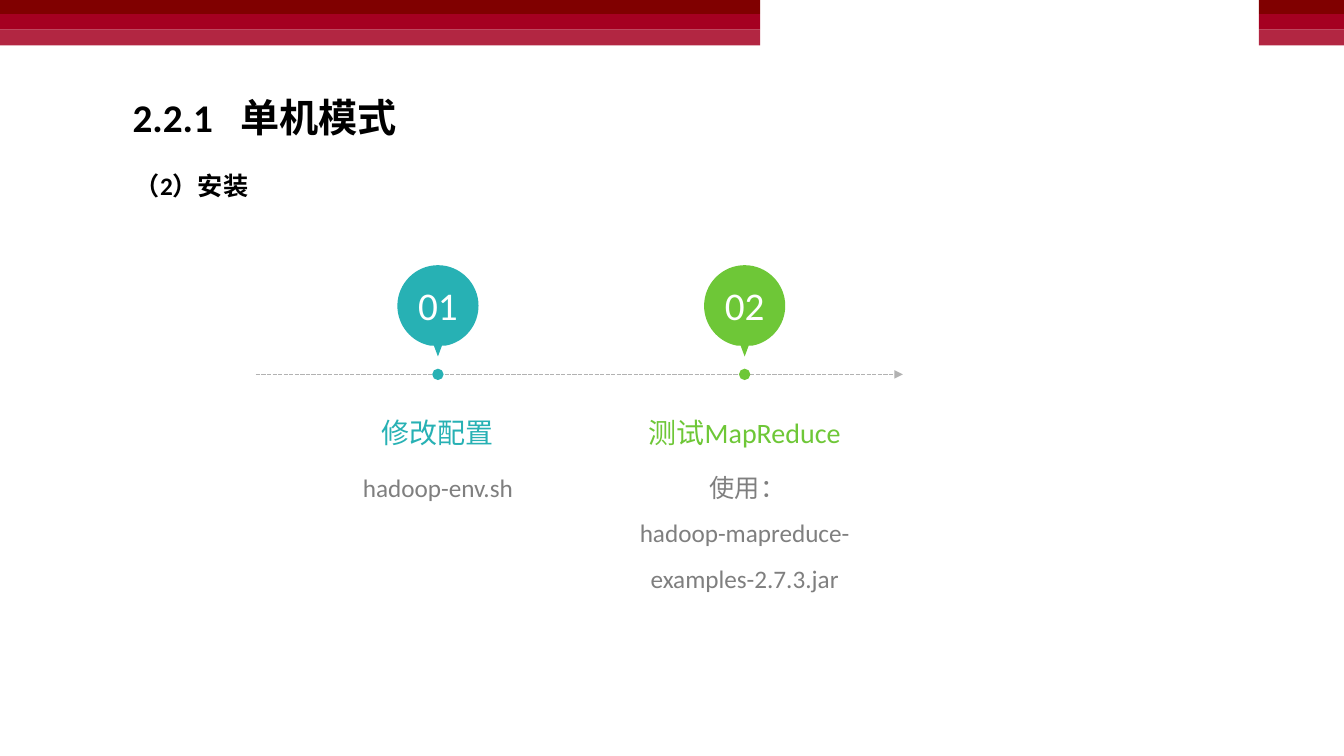
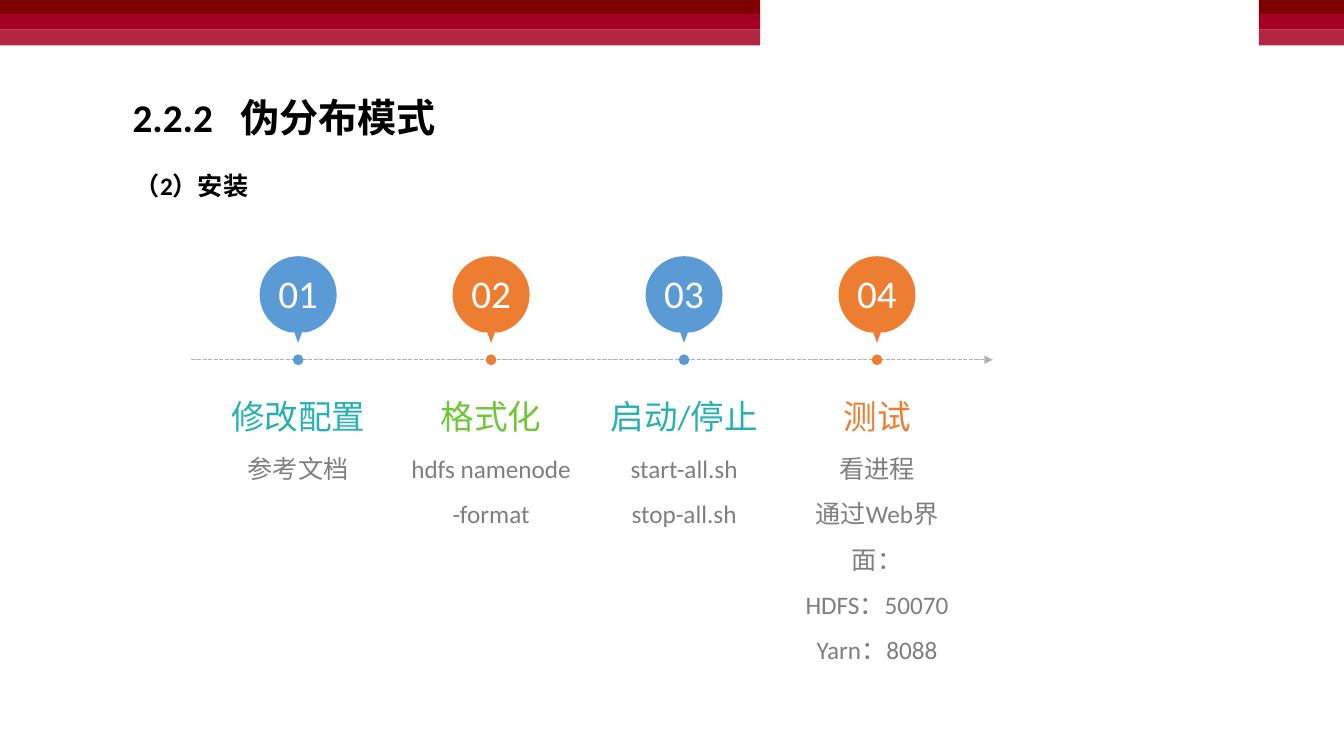
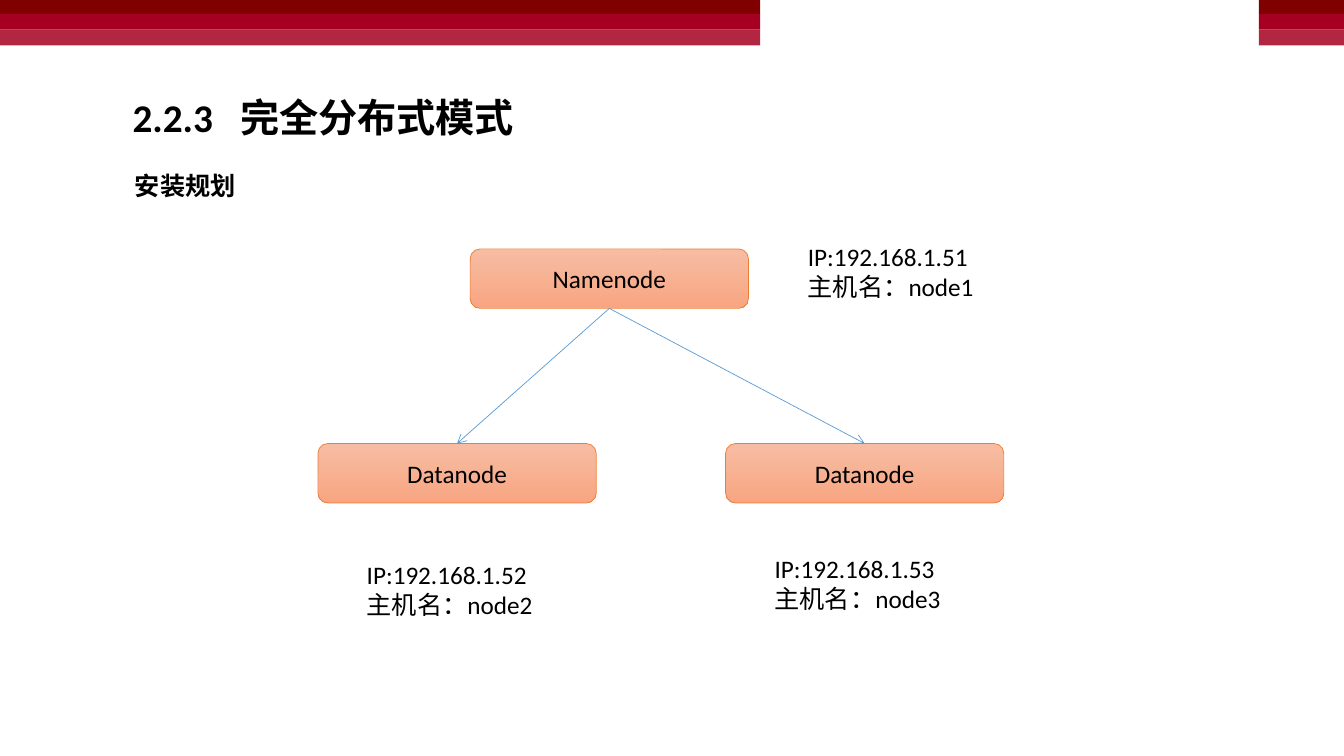
from lxml import etree
from pptx import Presentation
from pptx.dml.color import RGBColor
from pptx.enum import dml, shapes, text
from pptx.oxml import ns
from pptx.util import Pt

FONT = "Calibri"
COLORS = {
    "dark_red": "800000", "red": "A50021", "light_red": "B22642",
    "teal": "27B1B4", "green": "6EC737", "blue": "5B9BD5", "orange": "ED7D31",
    "axis": "B2B2B2", "grey": "7F7F7F", "black": "000000", "white": "FFFFFF",
    "node_top": "F7BDA4", "node_bottom": "F8A581",
}
RGB = {name: RGBColor.from_string(value) for name, value in COLORS.items()}
LEFT, CENTER = text.PP_ALIGN.LEFT, text.PP_ALIGN.CENTER
TOP, MIDDLE = text.MSO_ANCHOR.TOP, text.MSO_ANCHOR.MIDDLE
TEXT_INSETS = (7.2, 3.6, 7.2, 3.6)
NO_INSETS = (0, 0, 0, 0)


def write(sp, lines, size, color, bold=False, align=LEFT, anchor=TOP,
          spacing=1.0, insets=TEXT_INSETS):
    tf = sp.text_frame
    tf.word_wrap = True
    tf.auto_size = text.MSO_AUTO_SIZE.NONE
    tf.vertical_anchor = anchor
    tf.margin_left, tf.margin_top, tf.margin_right, tf.margin_bottom = map(Pt, insets)
    for i, line in enumerate(lines):
        p = tf.add_paragraph() if i else tf.paragraphs[0]
        p.alignment = align
        p.line_spacing = spacing
        p._p.get_or_add_pPr().set("hangingPunct", "0")
        r = p.add_run()
        r.text = line
        r.font.name, r.font.size, r.font.bold = FONT, Pt(size), bold
        r.font.color.rgb = RGB[color]


def add_arrow(s, ends, color, width, head, dash=None):
    line = s.shapes.add_connector(shapes.MSO_CONNECTOR.STRAIGHT, *map(Pt, ends))
    line.line.color.rgb = RGB[color]
    line.line.width = Pt(width)
    if dash:
        line.line.dash_style = dash
    etree.SubElement(line.line._get_or_add_ln(), ns.qn("a:tailEnd"), type=head)
    etree.SubElement(line._element.spPr, ns.qn("a:effectLst"))
    return line


prs = Presentation()
prs.slide_width, prs.slide_height = Pt(960.48), Pt(540)
layout = prs.slide_layouts[5]

# Slides with title and subtitle
headings = [
    ("2.2.1\t单机模式", "（2）安装"),
    ("2.2.2\t伪分布模式", "（2）安装"),
    ("2.2.3\t完全分布式模式", "安装规划"),
]
slides = []
for title, subtitle in headings:
    s = prs.slides.add_slide(layout)
    sp = s.shapes.title
    sp.left, sp.top, sp.width, sp.height = map(Pt, (87.6, 62.7, 499, 41))
    write(sp, [title], 28, "black", bold=True)
    pPr = sp.text_frame.paragraphs[0]._p.get_or_add_pPr()
    tabs = etree.SubElement(pPr, ns.qn("a:tabLst"))
    etree.SubElement(tabs, ns.qn("a:tab"), pos=str(Pt(76.8)), algn="l")
    sp = s.shapes.add_textbox(*map(Pt, (89.3, 117.9, 319, 28.8)))
    write(sp, [subtitle], 18, "black", bold=True)
    slides.append(s)

# Top bands, moved to the shared layout
for left, width in ((0, 543.2), (899.6, 60.88)):
    for top, height, color in ((0, 10, "dark_red"), (10, 11.2, "red"),
                               (21.2, 11.3, "light_red")):
        sp = slides[0].shapes.add_shape(shapes.MSO_SHAPE.RECTANGLE,
                                        *map(Pt, (left, top, width, height)))
        sp.shadow.inherit = False
        sp.fill.solid()
        sp.fill.fore_color.rgb = RGB[color]
        sp.line.fill.background()
        layout.shapes.element.append(sp._element)

# Timelines: pin colour, heading colour, heading, details
timelines = [
    dict(slide=slides[0], first=313, step=219.2, top=189.4, radius=29,
         axis=(182.9, 645.2), size=20, heading=(284.4, 169.2, 41.8),
         detail=(326.4, 191.5, 202.3),
         steps=[("teal", "teal", "修改配置", ["hadoop-env.sh"]),
                ("green", "green", "测试MapReduce",
                 [" 使用：", "hadoop-mapreduce-examples-2.7.3.jar"])]),
    dict(slide=slides[1], first=213.1, step=137.9, top=183, radius=27.5,
         axis=(136.8, 709.5), size=24, heading=(272.9, 118.1, 39.6),
         detail=(313, 118.1, 213.1),
         steps=[("blue", "teal", "修改配置", ["参考文档"]),
                ("orange", "green", "格式化", ["hdfs namenode -format"]),
                ("blue", "teal", "启动/停止", ["start-all.sh", "stop-all.sh"]),
                ("orange", "orange", "测试",
                 ["看进程", "通过Web界面：", "HDFS：50070", "Yarn：8088"])]),
]

# Outlines in pin radii from the pin centre: three points make a curve, one a line
AXIS = 1.69
DOT = [[(0.14 * x, AXIS + 0.14 * y) for x, y in curve] for curve in (
    [(0.55, -1), (1, -0.55), (1, 0)], [(1, 0.55), (0.55, 1), (0, 1)],
    [(-0.55, 1), (-1, 0.55), (-1, 0)], [(-1, -0.55), (-0.55, -1), (0, -1)])]
PIN = [
    [(0.55, -1), (1, -0.55), (1, 0)], [(1, 0.48), (0.66, 0.89), (0.2, 0.98)],
    [(0.1, 0.98)], [(0, 1.25)], [(-0.1, 0.98)], [(-0.2, 0.98)],
    [(-0.66, 0.89), (-1, 0.48), (-1, 0)], [(-1, -0.55), (-0.55, -1), (0, -1)],
]

for t in timelines:
    s, radius = t["slide"], t["radius"]
    center_y = t["top"] + radius
    axis_y = center_y + AXIS * radius
    start, end = t["axis"]
    add_arrow(s, (start, axis_y, end, axis_y), "axis", 1, "triangle",
              dml.MSO_LINE.SQUARE_DOT)
    for i, (pin_color, color, heading, details) in enumerate(t["steps"]):
        x = t["first"] + i * t["step"]
        # Pin with its dot on the axis
        dot, pin = [[(Pt(x + radius * dx), Pt(center_y + radius * dy))
                     for segment in outline for dx, dy in segment]
                    for outline in (DOT, PIN)]
        fb = s.shapes.build_freeform(*dot[-1])
        fb.add_line_segments(dot)
        fb.move_to(*pin[-1])
        fb.add_line_segments(pin)
        sp = fb.convert_to_shape()
        points = iter(list(sp._element.iter(ns.qn("a:lnTo"))))
        for segment in DOT + PIN:
            first, *rest = [next(points) for _ in segment]
            if rest:
                first.tag = ns.qn("a:cubicBezTo")
            for point in rest:
                first.append(point[0])
                point.getparent().remove(point)
        sp.shadow.inherit = False
        sp.fill.solid()
        sp.fill.fore_color.rgb = RGB[pin_color]
        sp.line.fill.background()
        write(sp, [f"{i + 1:02d}"], 28, "white", align=CENTER, anchor=MIDDLE,
              insets=(0, 0, 0, 25.2))
        # Heading and details
        for (y, w, h), lines, size, ink, anchor, spacing in (
                (t["heading"], [heading], t["size"], color, MIDDLE, 1.3),
                (t["detail"], details, 18, "grey", TOP, 1.5)):
            sp = s.shapes.add_textbox(*map(Pt, (x - w / 2, y, w, h)))
            write(sp, lines, size, ink, align=CENTER, anchor=anchor,
                  spacing=spacing, insets=NO_INSETS)

# Cluster plan: name, node position, label position, address, host
s = slides[2]
nodes = []
for name, node_at, label_at, address, host in (
        ("Namenode", (336, 177.8), (570.2, 168.5), "192.168.1.51", "node1"),
        ("Datanode", (227.2, 316.8), (255, 396), "192.168.1.52", "node2"),
        ("Datanode", (518.5, 316.8), (546.5, 391.4), "192.168.1.53", "node3")):
    sp = s.shapes.add_shape(shapes.MSO_SHAPE.ROUNDED_RECTANGLE,
                            *map(Pt, (*node_at, 198.9, 42.5)))
    sp.shadow.inherit = False
    sp.fill.gradient()
    sp.fill.gradient_angle = 270
    for stop, color in zip(sp.fill.gradient_stops, ("node_top", "node_bottom")):
        stop.color.rgb = RGB[color]
    sp.line.color.rgb = RGB["orange"]
    sp.line.width = Pt(0.5)
    write(sp, [name], 18, "black", align=CENTER, anchor=MIDDLE)
    nodes.append(sp)
    label = s.shapes.add_textbox(*map(Pt, (*label_at, 171, 50.4)))
    write(label, [f"IP:{address}", f"主机名：{host}"], 18, "black")

# Arrows from the name node to the data nodes
for node in nodes[1:]:
    line = add_arrow(s, (0, 0, 10, 10), "blue", 0.5, "arrow")
    line.begin_connect(nodes[0], 2)
    line.end_connect(node, 0)

prs.save("out.pptx")
